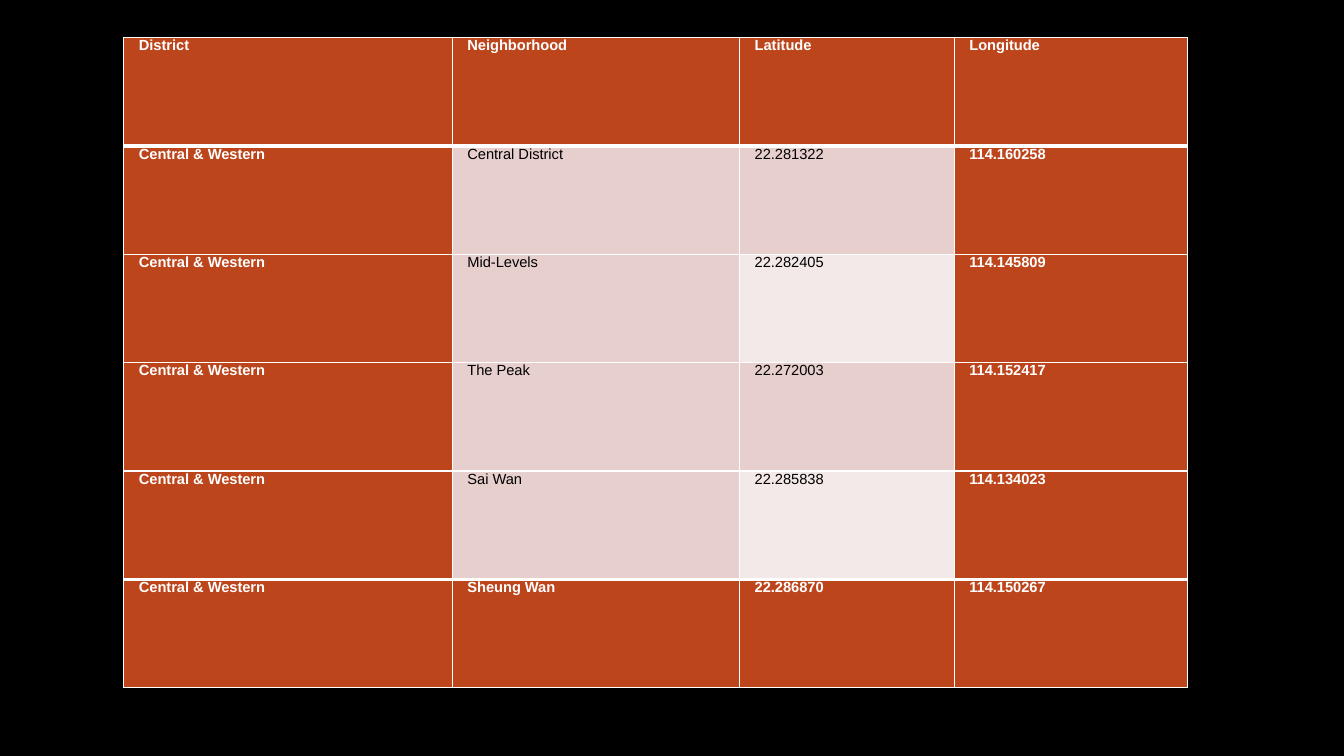
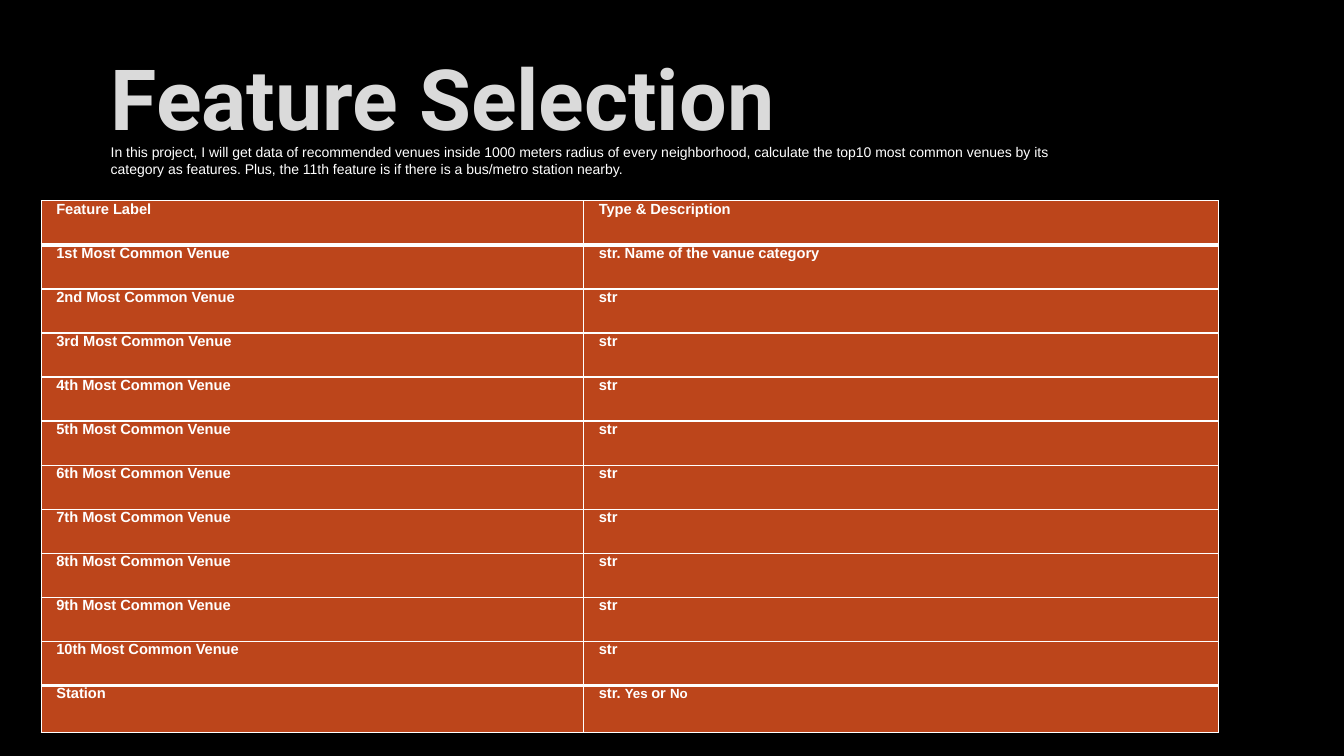
from lxml import etree
from pptx import Presentation
from pptx.dml.color import RGBColor
from pptx.enum.text import MSO_ANCHOR, MSO_AUTO_SIZE, PP_ALIGN
from pptx.oxml import parse_xml
from pptx.oxml.ns import nsdecls, qn
from pptx.util import Cm, Pt

# Colours
BLACK = RGBColor(0x00, 0x00, 0x00)
WHITE = RGBColor(0xFF, 0xFF, 0xFF)
SILVER = RGBColor(0xDA, 0xDA, 0xDA)
CHARCOAL = RGBColor(0x40, 0x40, 0x40)
RUST = RGBColor(0xBC, 0x45, 0x1B)
ROSE = RGBColor(0xE7, 0xCF, 0xCD)
PALE_ROSE = RGBColor(0xF3, 0xE9, 0xE8)

# Enum members
LEFT = PP_ALIGN.LEFT
MIDDLE = MSO_ANCHOR.MIDDLE
TOP = MSO_ANCHOR.TOP
NO_FIT = MSO_AUTO_SIZE.NONE

# Layout numbers of the default template
TITLE_ONLY, BLANK = 5, 6

# Text formats
TITLE = {"name": "Roboto", "size": Pt(60.3), "bold": True, "color": SILVER}
INTRO = {"name": "Arial", "size": Pt(10), "bold": False, "color": WHITE}
STRONG = {"name": "Arial", "size": Pt(10.5), "bold": True, "color": WHITE}
PLAIN = {**STRONG, "bold": False, "color": BLACK}
SMALL = {**STRONG, "size": Pt(9.5)}

THIN, THICK = Pt(1), Pt(3)


class Deck:
    """Holds the shared style and the current page."""

    def __init__(self):
        self.deck = Presentation()
        self.deck.slide_width, self.deck.slide_height = Cm(33.87), Cm(19.05)
        fill = self.deck.slide_master.background.fill
        fill.solid()
        fill.fore_color.rgb = BLACK
        self.page = None

    def add_page(self, layout):
        self.page = self.deck.slides.add_slide(self.deck.slide_layouts[layout])

    def add_span(self, para, text, style):
        span = para.add_run()
        span.text = text
        for name, value in style.items():
            if name == "color":
                span.font.color.rgb = value
            else:
                setattr(span.font, name, value)
        return span

    def fill_box(self, box, text, style):
        frame = box.text_frame
        settings = {"word_wrap": True, "auto_size": NO_FIT, "vertical_anchor": MIDDLE}
        for name, value in settings.items():
            setattr(frame, name, value)
        para = frame.paragraphs[0]
        para.alignment = LEFT
        return self.add_span(para, text, style)

    def add_title(self, text, left, top, width, height):
        box = self.page.shapes.title
        box.left, box.top, box.width, box.height = left, top, width, height
        span = self.fill_box(box, text, TITLE)
        # Faint outline around the letters
        outline = parse_xml(
            f'<a:ln {nsdecls("a")} w="{Pt(0.75)}"><a:solidFill>'
            f'<a:srgbClr val="{CHARCOAL}"><a:alpha val="10000"/></a:srgbClr>'
            "</a:solidFill></a:ln>"
        )
        span._r.get_or_add_rPr().insert(0, outline)

    def add_text(self, text, left, top, width, height):
        box = self.page.shapes.add_textbox(left, top, width, height)
        self.fill_box(box, text, INTRO)

    def add_borders(self, cell, top, bottom):
        properties = cell._tc.get_or_add_tcPr()
        widths = {"lnL": THIN, "lnR": THIN, "lnT": top, "lnB": bottom}
        for position, (side, width) in enumerate(widths.items()):
            line = etree.Element(qn(f"a:{side}"), w=str(int(width)))
            paint = etree.SubElement(line, qn("a:solidFill"))
            etree.SubElement(paint, qn("a:srgbClr"), val=str(WHITE))
            properties.insert(position, line)

    def add_table(self, rows, left, top, widths, heights, cell_fill):
        """A cell is a text or a list of (text, format) spans."""
        last = len(rows) - 1
        frame = self.page.shapes.add_table(
            len(rows), len(widths), left, top, sum(widths), sum(heights))
        table = frame.table
        table.first_row = table.horz_banding = False
        for column, width in zip(table.columns, widths):
            column.width = width
        for r, (values, height) in enumerate(zip(rows, heights)):
            table.rows[r].height = height
            for c, value in enumerate(values):
                cell = table.cell(r, c)
                settings = {"margin_left": Cm(0.38), "margin_right": 0, "margin_top": 0,
                            "margin_bottom": 0, "vertical_anchor": TOP}
                for name, setting in settings.items():
                    setattr(cell, name, setting)
                color = cell_fill(r, c, last)
                cell.fill.solid()
                cell.fill.fore_color.rgb = color
                # Thick rules below the header and above the last row
                self.add_borders(cell, THICK if r in (1, last) else THIN,
                                 THICK if r in (0, last - 1) else THIN)
                style = STRONG if color == RUST else PLAIN
                spans = [(value, style)] if isinstance(value, str) else value
                for text, span_style in spans:
                    self.add_span(cell.text_frame.paragraphs[0], text, span_style)


def district_fill(row, column, last):
    if row in (0, last) or column in (0, 3):
        return RUST
    return PALE_ROSE if column == 2 and row % 2 == 0 else ROSE


def feature_fill(row, column, last):
    return RUST


def main():
    deck = Deck()

    # Neighborhood coordinates
    places = [
        ("Central District", "22.281322", "114.160258"),
        ("Mid-Levels", "22.282405", "114.145809"),
        ("The Peak", "22.272003", "114.152417"),
        ("Sai Wan", "22.285838", "114.134023"),
        ("Sheung Wan", "22.286870", "114.150267"),
    ]
    rows = [("District", "Neighborhood", "Latitude", "Longitude")]
    rows += [("Central & Western", *place) for place in places]
    deck.add_page(BLANK)
    deck.add_table(rows, Cm(3.12), Cm(0.95),
                   [Cm(8.28), Cm(7.24), Cm(5.41), Cm(5.87)],
                   [Cm(2.73)] * len(rows), district_fill)

    # Feature selection
    deck.add_page(TITLE_ONLY)
    deck.add_title("Feature Selection", Cm(2.54), Cm(1.09), Cm(28.75), Cm(2.7))
    ordinals = ["1st", "2nd", "3rd"] + [f"{n}th" for n in range(4, 11)]
    rows = [("Feature Label", "Type & Description")]
    rows += [(f"{ordinal} Most Common Venue",
              "str. Name of the vanue category" if ordinal == "1st" else "str")
             for ordinal in ordinals]
    rows.append(("Station", [("str. ", STRONG), ("Yes ", SMALL),
                             ("or ", STRONG), ("No", SMALL)]))
    deck.add_table(rows, Cm(1.04), Cm(5.06), [Cm(13.67), Cm(16)],
                   [Cm(1.11)] * (len(rows) - 1) + [Cm(1.19)], feature_fill)
    deck.add_text(
        "In this project, I will get data of recommended venues inside 1000 meters "
        "radius of every neighborhood, calculate the top10 most common venues by its "
        "category as features. Plus, the 11th feature is if there is a bus/metro "
        "station nearby.",
        Cm(2.54), Cm(3.4), Cm(24.5), Cm(1.3))

    deck.deck.save("out.pptx")


if __name__ == "__main__":
    main()
